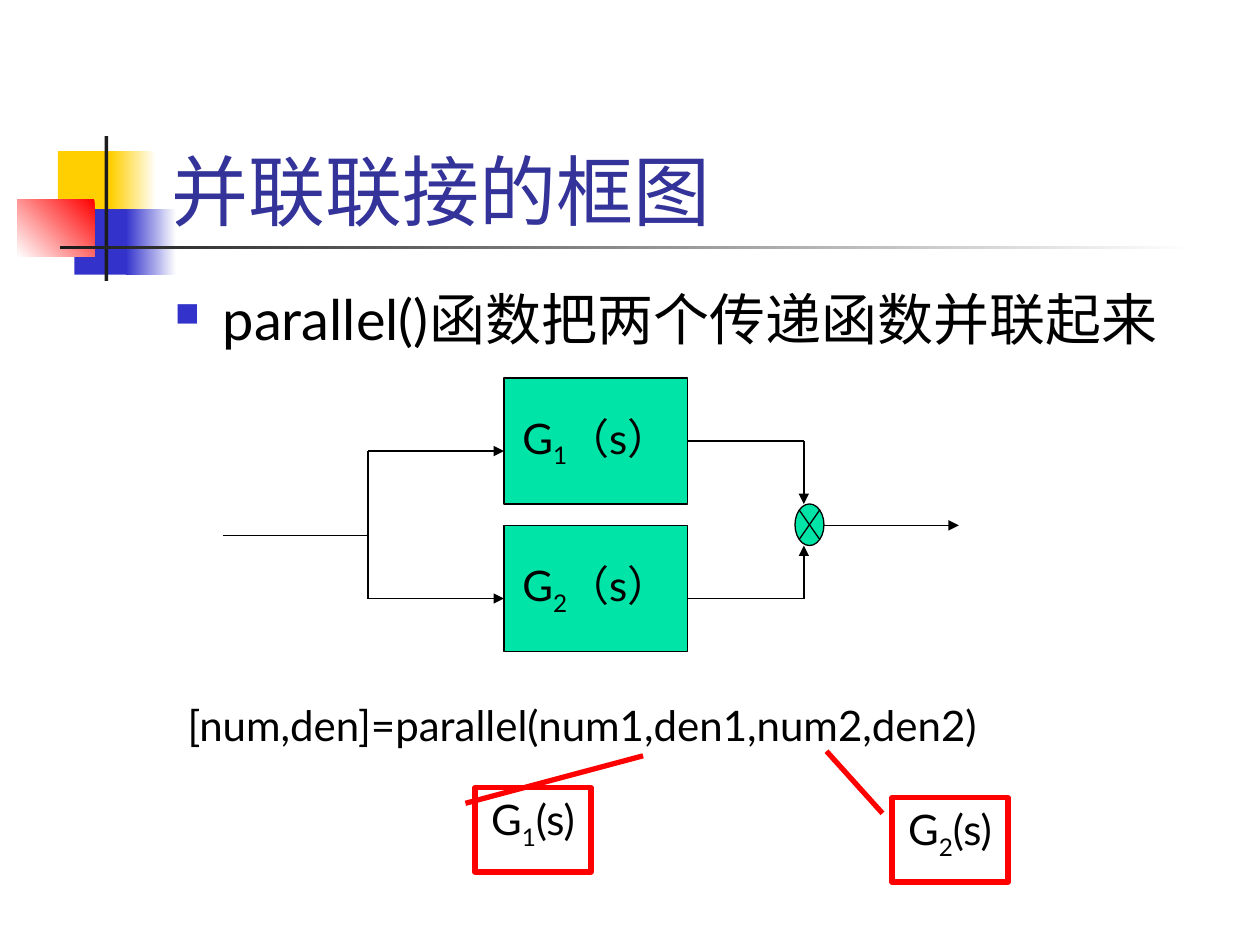
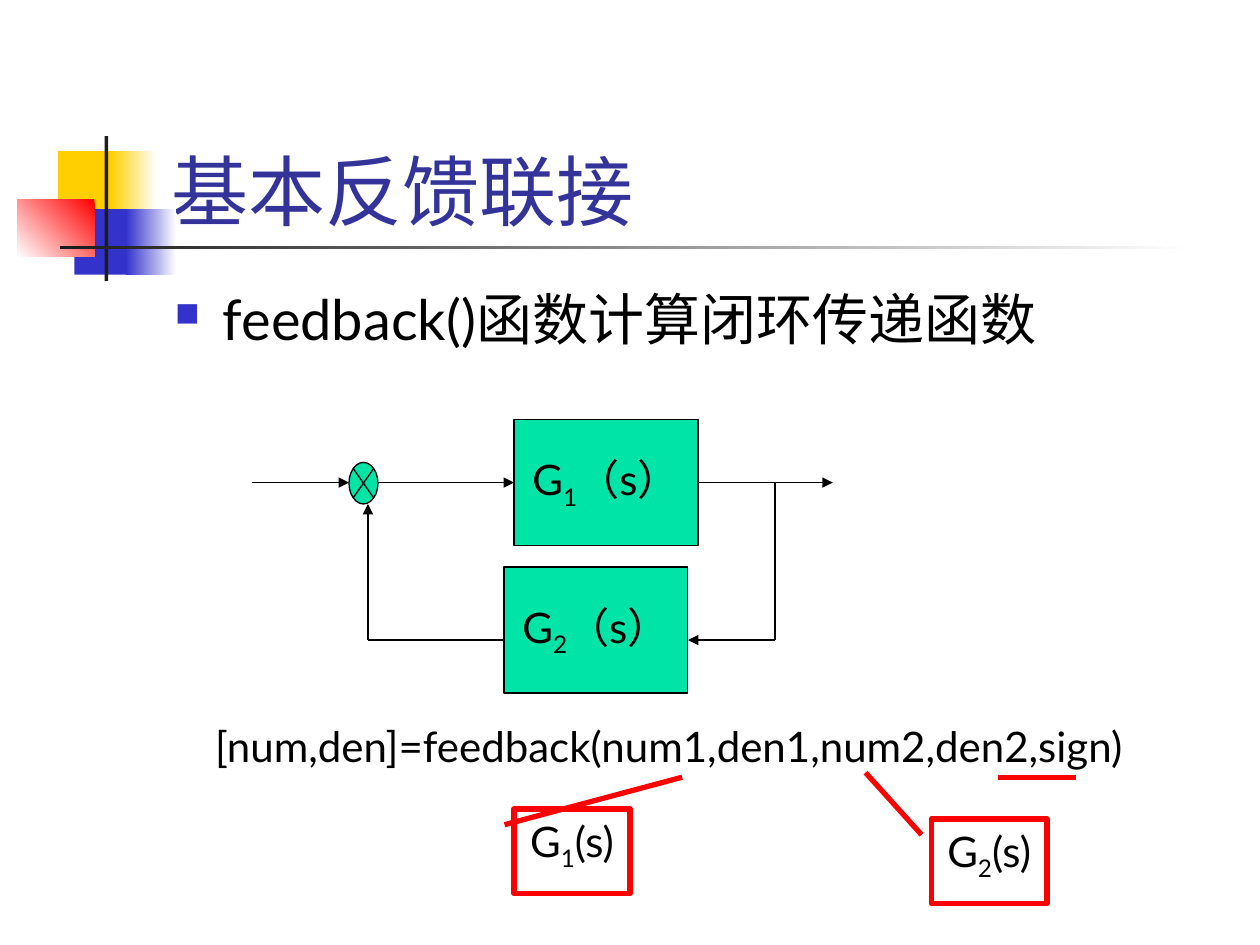
from lxml.etree import SubElement
from pptx import Presentation
from pptx.dml.color import RGBColor
from pptx.enum.shapes import MSO_CONNECTOR, MSO_SHAPE
from pptx.enum.text import MSO_ANCHOR, MSO_AUTO_SIZE, PP_ALIGN
from pptx.oxml.ns import qn
from pptx.util import Inches, Pt

FONT = "Lato"
BLACK = RGBColor(0x00, 0x00, 0x00)
WHITE = RGBColor(0xFF, 0xFF, 0xFF)
RED = RGBColor(0xFF, 0x00, 0x00)
YELLOW = RGBColor(0xFF, 0xCF, 0x01)
BLUE = RGBColor(0x33, 0x33, 0xCC)
CHARCOAL = RGBColor(0x1C, 0x1C, 0x1C)
INDIGO = RGBColor(0x33, 0x33, 0x99)
GREEN = RGBColor(0x00, 0xE4, 0xA8)
BLOCK_SIZE = (1.46, 1)
JUNCTION_SIZE = (0.23, 0.33)
CALLOUT_SIZE = (0.92, 0.67)
POINTER_START = (0.188, -0.083)
LEFT_SIDE, RIGHT_SIDE = 1, 3


class DiagramDeck:
    """Builds control-system slides in one shared style."""

    def __init__(self):
        self.presentation = Presentation()
        self.presentation.slide_width = Inches(10)
        self.presentation.slide_height = Inches(7.5)
        self.slide = None

    def new_slide(self, heading, statement):
        self.slide = self.presentation.slides.add_slide(self.presentation.slide_layouts[5])
        self.ornament()
        title = self.slide.shapes.title
        title.left, title.top, title.width, title.height = map(Inches, (1.26, 0.67, 8.52, 1.25))
        frame = title.text_frame
        frame.text = heading
        frame.auto_size = MSO_AUTO_SIZE.NONE
        frame.vertical_anchor = MSO_ANCHOR.BOTTOM
        frame.paragraphs[0].alignment = PP_ALIGN.LEFT
        self.style_runs(frame.paragraphs[0], 44, INDIGO)
        self.bullet(self.text(statement, (1.29, 2.21, 8.5, 4.5), 32, 8))

    def ornament(self):
        self.panel((0.46, 1.2, 0.48, 0.52), YELLOW)
        self.panel((0.88, 1.2, 0.36, 0.52), WHITE, YELLOW)
        self.panel((0.59, 1.66, 0.46, 0.52), BLUE)
        self.panel((1, 1.66, 0.4, 0.52), WHITE, BLUE)
        self.panel((0.14, 1.58, 0.61, 0.46), RED, WHITE, 225)
        self.panel((0.83, 1.08, 0.03, 1.15), CHARCOAL)
        self.panel((0.48, 1.95, 9, 0.03), WHITE, CHARCOAL)

    def shape(self, preset, box):
        shape = self.slide.shapes.add_shape(preset, *map(Inches, box))
        shape.shadow.inherit = False
        return shape

    def panel(self, box, color, end_color=None, angle=180):
        panel = self.shape(MSO_SHAPE.RECTANGLE, box)
        panel.line.fill.background()
        if end_color is None:
            panel.fill.solid()
            panel.fill.fore_color.rgb = color
            return
        panel.fill.gradient()
        panel.fill.gradient_angle = angle
        for stop, stop_color, position in zip(panel.fill.gradient_stops, (color, end_color), (0, 1)):
            stop.color.rgb = stop_color
            stop.position = position

    def style_runs(self, paragraph, size, color=BLACK):
        for run in paragraph.runs:
            run.font.name = FONT
            run.font.size = Pt(size)
            run.font.color.rgb = color

    def text(self, words, box, size=24, space_before=15):
        frame = self.slide.shapes.add_textbox(*map(Inches, box)).text_frame
        frame.word_wrap = True
        frame.text = words
        paragraph = frame.paragraphs[0]
        paragraph.space_before = Pt(space_before)
        self.style_runs(paragraph, size)
        return paragraph

    def bullet(self, paragraph):
        properties = paragraph._p.get_or_add_pPr()
        properties.set("marL", str(Inches(0.38)))
        properties.set("indent", str(Inches(-0.38)))
        bullet_color = SubElement(properties, qn("a:buClr"))
        SubElement(bullet_color, qn("a:srgbClr"), val=str(BLUE))
        SubElement(properties, qn("a:buSzPct"), val="60000")
        SubElement(properties, qn("a:buChar"), char="■")

    def transfer_label(self, shape, index, argument):
        paragraph = shape.text_frame.paragraphs[0]
        paragraph.alignment = PP_ALIGN.CENTER
        for part in ("G", str(index), argument):
            paragraph.add_run().text = part
        self.style_runs(paragraph, 24)
        paragraph.runs[1].font._element.set("baseline", "-25000")
        return paragraph

    def component(self, preset, box):
        component = self.shape(preset, box)
        component.fill.solid()
        component.fill.fore_color.rgb = GREEN
        component.line.color.rgb = BLACK
        component.line.width = Pt(0.75)
        return component

    def block(self, index, left, top):
        block = self.component(MSO_SHAPE.RECTANGLE, (left, top, *BLOCK_SIZE))
        block.text_frame.word_wrap = False
        block.text_frame.vertical_anchor = MSO_ANCHOR.MIDDLE
        self.transfer_label(block, index, "（s）")
        return block

    def junction(self, left, top):
        self.component(MSO_SHAPE.FLOWCHART_SUMMING_JUNCTION, (left, top, *JUNCTION_SIZE))

    def callout(self, index, left, top, target):
        callout = self.shape(MSO_SHAPE.LINE_CALLOUT_1, (left, top, *CALLOUT_SIZE))
        for position, value in enumerate(POINTER_START + target):
            callout.adjustments[position] = value
        callout.fill.background()
        callout.line.color.rgb = RED
        callout.line.width = Pt(3)
        callout.text_frame.word_wrap = True
        callout.text_frame.vertical_anchor = MSO_ANCHOR.TOP
        self.transfer_label(callout, index, "(s)").space_before = Pt(15)

    def callouts(self, left, top):
        self.callout(1, left, top, (-0.375, 1.45))
        self.callout(2, left + 3.31, top + 0.08, (-0.549, -0.566))

    def line(self, start, end, arrow=False, color=BLACK, width=0.75, source=None, target=None):
        line = self.slide.shapes.add_connector(MSO_CONNECTOR.STRAIGHT, *map(Inches, start + end))
        if source is not None:
            line.begin_connect(source, RIGHT_SIDE)
        if target is not None:
            line.end_connect(target, LEFT_SIDE)
        line.line.color.rgb = color
        line.line.width = Pt(width)
        properties = line._element.spPr
        if arrow:
            SubElement(properties.find(qn("a:ln")), qn("a:tailEnd"), type="triangle")
        SubElement(properties, qn("a:effectLst"))

    def arrow(self, start, end, **joins):
        self.line(start, end, arrow=True, **joins)


def parallel_slide(deck):
    deck.new_slide("并联联接的框图", "parallel()函数把两个传递函数并联起来")
    deck.text("[num,den]=parallel(num1,den1,num2,den2)", (1.39, 5.5, 7.38, 0.5))
    upper_block = deck.block(1, 4, 3)
    deck.block(2, 4, 4.17)
    for branch_y in (3.58, 4.75):
        deck.arrow((2.92, branch_y), (4, branch_y))
    deck.arrow((6.54, 4.17), (7.61, 4.17))
    deck.junction(6.31, 4)
    deck.line((1.77, 4.25), (2.92, 4.25))
    deck.line((2.92, 3.58), (2.92, 4.75))
    deck.line((5.46, 3.5), (6.38, 3.5), source=upper_block)
    deck.line((5.46, 4.75), (6.38, 4.75))
    deck.arrow((6.38, 3.5), (6.38, 4))
    deck.arrow((6.38, 4.75), (6.38, 4.33))
    deck.callouts(3.77, 6.25)


def feedback_slide(deck):
    deck.new_slide("基本反馈联接", "feedback()函数计算闭环传递函数")
    forward_block = deck.block(1, 4.08, 3.33)
    deck.arrow((3, 3.83), (4.08, 3.83), target=forward_block)
    deck.arrow((5.54, 3.83), (6.61, 3.83), source=forward_block)
    deck.junction(2.77, 3.67)
    deck.line((6.15, 3.83), (6.15, 5.08))
    deck.line((4, 5.08), (2.92, 5.08))
    deck.arrow((2.92, 5.08), (2.92, 4))
    deck.arrow((2, 3.83), (2.77, 3.83))
    deck.text("[num,den]=feedback(num1,den1,num2,den2,sign)", (1.61, 5.67, 7.62, 0.9))
    deck.block(2, 4, 4.5)
    deck.arrow((6.15, 5.08), (5.46, 5.08))
    deck.callouts(4.08, 6.42)
    deck.line((7.92, 6.17), (8.54, 6.17), color=RED, width=3)


def main():
    deck = DiagramDeck()
    parallel_slide(deck)
    feedback_slide(deck)
    deck.presentation.save("out.pptx")


if __name__ == "__main__":
    main()
